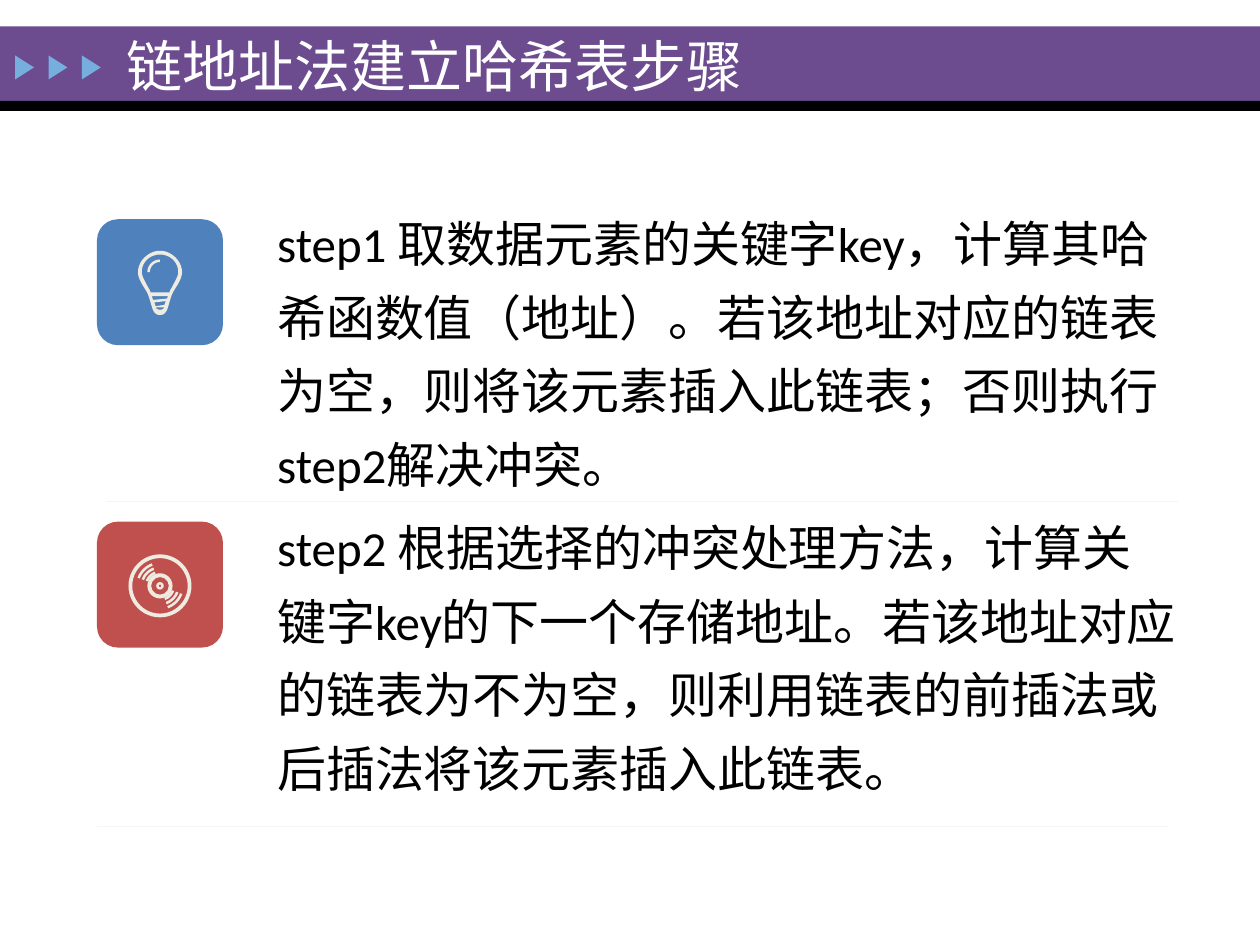
import math

from lxml import etree
from pptx import Presentation
from pptx.dml.color import RGBColor
from pptx.enum.shapes import MSO_CONNECTOR, MSO_SHAPE
from pptx.enum.text import MSO_ANCHOR, MSO_AUTO_SIZE, PP_ALIGN
from pptx.oxml.ns import qn
from pptx.util import Inches, Pt

RECT, TRIANGLE = MSO_SHAPE.RECTANGLE, MSO_SHAPE.ISOSCELES_TRIANGLE
ROUNDED, DONUT = MSO_SHAPE.ROUNDED_RECTANGLE, MSO_SHAPE.DONUT
STRAIGHT = MSO_CONNECTOR.STRAIGHT
LEFT, MIDDLE, TOP = PP_ALIGN.LEFT, MSO_ANCHOR.MIDDLE, MSO_ANCHOR.TOP
NO_FIT = MSO_AUTO_SIZE.NONE

PURPLE = RGBColor(0x6C, 0x4C, 0x8F)
SKY = RGBColor(0x76, 0xAE, 0xDD)
BLUE = RGBColor(0x4F, 0x81, 0xBD)
RED = RGBColor(0xC0, 0x50, 0x4D)
CREAM = RGBColor(0xEE, 0xEC, 0xE1)
PALE = RGBColor(0xF5, 0xF5, 0xF5)
BLACK = RGBColor(0, 0, 0)
WHITE = RGBColor(0xFF, 0xFF, 0xFF)

SLIDE_W, SLIDE_H = 10, 7.5
FONT = "Calibri"
TILE_LEFT, TILE = 0.77, 1
TILE_CENTER = TILE_LEFT + TILE / 2
RULE_LENGTH = 8.51

TITLE = "链地址法建立哈希表步骤"
STEPS = [
    "step1 取数据元素的关键字key，计算其哈希函数值（地址）。若该地址对应的链表为空，"
    "则将该元素插入此链表；否则执行step2解决冲突。",
    "step2 根据选择的冲突处理方法，计算关键字key的下一个存储地址。若该地址对应的链表"
    "为不为空，则利用链表的前插法或后插法将该元素插入此链表。",
]

# Bulb contours, measured from the top centre of the bulb:
# a start point, then cubic segments (two controls and an end).
BULB_OUTER = [(0, 0), (-.09, 0), (-.175, .08), (-.175, .17),
              (-.175, .24), (-.11, .3), (-.09, .36),
              (-.06, .45), (-.06, .51), (0, .51),
              (.06, .51), (.06, .45), (.09, .36),
              (.11, .3), (.175, .24), (.175, .17),
              (.175, .08), (.09, 0), (0, 0)]
BULB_GLASS = [(-.075, .33), (-.08, .31), (-.09, .3), (-.1, .28),
              (-.12, .24), (-.145, .2), (-.145, .17),
              (-.145, .09), (-.08, .03), (0, .03),
              (.08, .03), (.145, .09), (.145, .17),
              (.145, .2), (.12, .24), (.1, .28),
              (.09, .3), (.08, .31), (.075, .33)]
BULB_FOOT = [(-.035, .45), (-.02, .475), (.02, .475), (.035, .45)]
BULB_BANDS = [[(-.065, .36), (.065, .36), (.055, .38), (-.055, .39)],
              [(-.045, .41), (.045, .4), (.035, .43), (-.035, .44)]]


def paint(shape, color):
    shape.shadow.inherit = False
    shape.fill.solid()
    shape.fill.fore_color.rgb = color
    shape.line.fill.background()
    return shape


def add_block(shapes, kind, left, top, width, height, color):
    block = shapes.add_shape(kind, Inches(left), Inches(top),
                             Inches(width), Inches(height))
    return paint(block, color)


def add_outline(shapes, contours, color):
    """Fill one freeform made of closed contours; inner ones become holes."""
    scaled = [[(Inches(x), Inches(y)) for x, y in c] for c in contours]
    builder = shapes.build_freeform(*scaled[0][0])
    builder.add_line_segments(scaled[0][1:], close=True)
    for contour in scaled[1:]:
        builder.move_to(*contour[0])
        builder.add_line_segments(contour[1:], close=True)
    return paint(builder.convert_to_shape(), color)


def smooth_curve(points, steps=10):
    """Sample a chain of cubic Bezier segments."""
    curve = [points[0]]
    for i in range(0, len(points) - 1, 3):
        for k in range(1, steps + 1):
            t = k / steps
            weights = ((1 - t) ** 3, 3 * t * (1 - t) ** 2,
                       3 * t * t * (1 - t), t ** 3)
            curve.append(tuple(sum(w * p[axis] for w, p in zip(weights, points[i:i + 4]))
                               for axis in (0, 1)))
    return curve


def add_arc_band(shapes, cx, cy, inner, outer, start, end):
    """Fill the band between two radii from one angle to another, in degrees."""
    angles = [math.radians(start + (end - start) * k / 12) for k in range(13)]
    band = [(cx + r * math.cos(a), cy + r * math.sin(a))
            for r, sweep in ((inner, angles), (outer, angles[::-1])) for a in sweep]
    add_outline(shapes, [band], CREAM)


def add_tile(shapes, top, color):
    add_block(shapes, ROUNDED, TILE_LEFT, top, TILE, TILE, color)


def add_bulb(shapes, top):
    contours = [smooth_curve(c) for c in (BULB_OUTER, BULB_GLASS, BULB_FOOT)]
    placed = [[(TILE_CENTER + x, top + y) for x, y in c]
              for c in contours + BULB_BANDS]
    add_outline(shapes, placed, CREAM)
    add_arc_band(shapes, TILE_CENTER, top + 0.17, 0.08, 0.1, 180, 270)


def add_disc(shapes, cy):
    for radius, thickness in ((0.25, 0.03), (0.1, 0.03), (0.03, 0.02)):
        ring = add_block(shapes, DONUT, TILE_CENTER - radius, cy - radius,
                         2 * radius, 2 * radius, CREAM)
        ring.adjustments[0] = thickness / (2 * radius)
    for groove in range(3):
        inner = 0.1 + 0.035 * groove
        for start in (20, 200):
            add_arc_band(shapes, TILE_CENTER, cy, inner, inner + 0.02,
                         start, start + 50)


def add_rule(shapes, left, y):
    rule = shapes.add_connector(STRAIGHT, Inches(left), Inches(y),
                                Inches(left + RULE_LENGTH), Inches(y))
    rule.line.color.rgb = PALE
    rule.line.width = Pt(0.75)
    etree.SubElement(rule.element.spPr, qn("a:effectLst"))


def add_banner(shapes):
    add_block(shapes, RECT, 0, 0.21, SLIDE_W, 0.59, PURPLE)
    add_block(shapes, RECT, 0, 0.8, SLIDE_W, 0.08, BLACK)
    for column in range(3):
        arrow = add_block(shapes, TRIANGLE, 0.1 + 0.265 * column, 0.46,
                          0.19, 0.15, SKY)
        arrow.rotation = 90


def fill_placeholder(holder, box, texts, size, color, anchor):
    """Place a placeholder, bring it to the front and write its paragraphs."""
    holder.left, holder.top, holder.width, holder.height = map(Inches, box)
    holder.element.getparent().append(holder.element)
    frame = holder.text_frame
    frame.text = "\n".join(texts)
    frame.word_wrap = True
    frame.auto_size = NO_FIT
    frame.vertical_anchor = anchor
    for paragraph in frame.paragraphs:
        properties = paragraph._p.get_or_add_pPr()
        properties.set("marL", "0")
        properties.set("indent", "0")
        etree.SubElement(properties, qn("a:buNone"))
        paragraph.alignment = LEFT
        paragraph.space_before = Pt(0)
        paragraph.font.name = FONT
        paragraph.font.size = Pt(size)
        paragraph.font.color.rgb = color
    return frame.paragraphs


def main():
    deck = Presentation()
    deck.slide_width, deck.slide_height = Inches(SLIDE_W), Inches(SLIDE_H)
    slide = deck.slides.add_slide(deck.slide_layouts[1])
    shapes = slide.shapes

    add_banner(shapes)
    steps = fill_placeholder(slide.placeholders[1], (2.1, 1.53, 7.34, 5.35),
                             STEPS, 28, BLACK, TOP)
    for step in steps:
        step.line_spacing = 1.25
    steps[1].space_before = Pt(5.6)
    fill_placeholder(shapes.title, (0.9, 0.24, 6.14, 0.56),
                     [TITLE], 32, WHITE, MIDDLE)

    add_tile(shapes, 4.14, RED)
    add_disc(shapes, 4.65)
    add_tile(shapes, 1.74, BLUE)
    add_bulb(shapes, 1.99)
    add_rule(shapes, 0.84, 3.98)
    add_rule(shapes, TILE_LEFT, 6.56)
    deck.save("out.pptx")


if __name__ == "__main__":
    main()
